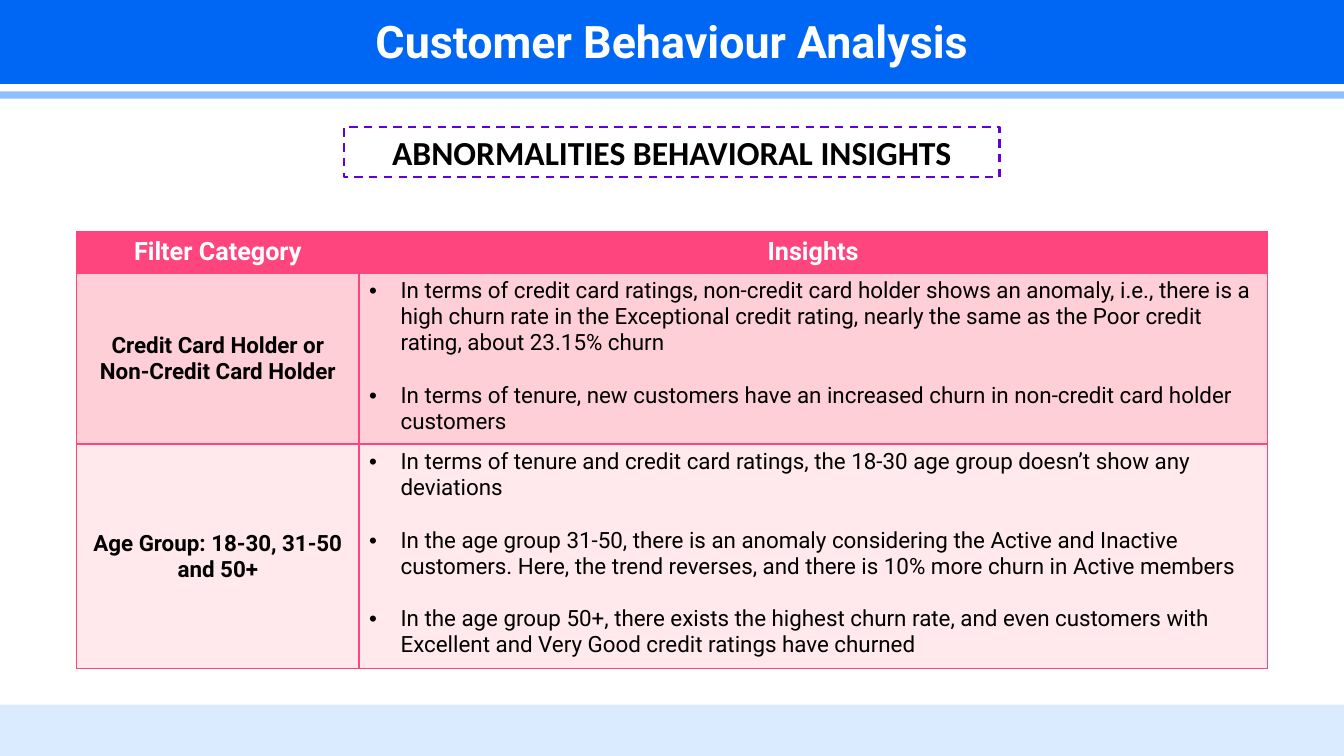
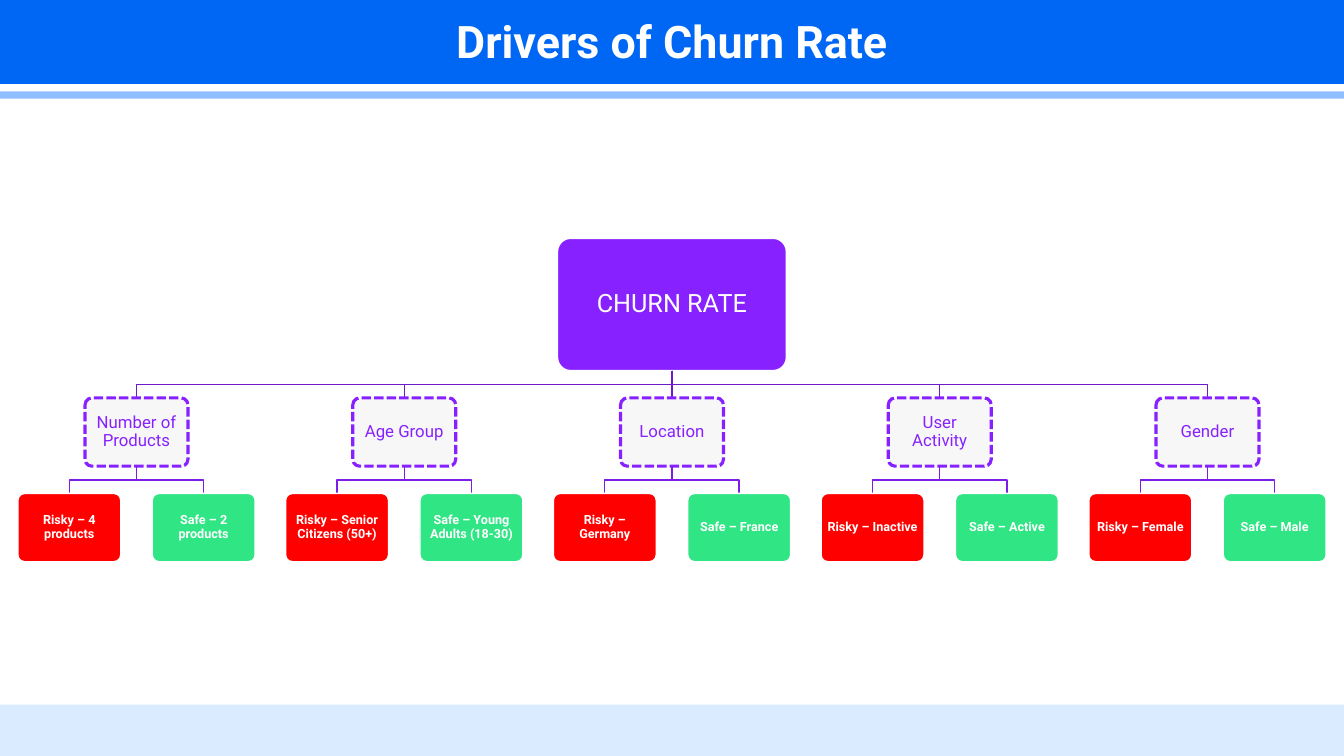
"""Build two slides on customer behaviour and the drivers of churn."""
from dataclasses import dataclass, field
from typing import Any, NamedTuple

from lxml import etree
from pptx import Presentation, util as u
from pptx.dml.color import RGBColor
from pptx.enum import dml, shapes, text
from pptx.oxml import ns

PX = 9525
WIDTH, HEIGHT = 1280, 720
CENTER = WIDTH // 2

WHITE, BLACK = "FFFFFF", "000000"
BLUE, MID_BLUE, PALE_BLUE = "0067F4", "90BFFF", "DAEAFF"
PINK, LIGHT_PINK, PALE_PINK = "FF457E", "FFCFD8", "FFE9EC"
VIOLET, DARK_VIOLET, PALE_GRAY = "8721FF", "6300D8", "F7F7F7"
ROOT_LINK, TOPIC_LINK = "6C1ACC", "7B1EE7"
RED, GREEN = "FF0000", "30E584"

RECTANGLE = shapes.MSO_SHAPE.RECTANGLE
ROUNDED = shapes.MSO_SHAPE.ROUNDED_RECTANGLE
MIDDLE, TOP = text.MSO_ANCHOR.MIDDLE, text.MSO_ANCHOR.TOP
DASH, SHORT_DASH = dml.MSO_LINE.DASH, dml.MSO_LINE.SQUARE_DOT


class Box(NamedTuple):
    left: int
    top: int
    width: int
    height: int


class Band(NamedTuple):
    top: int
    height: int
    fill: str


@dataclass(frozen=True)
class TextStyle:
    size: int
    color: str
    bold: bool = False
    name: str = "Roboto"
    centered: bool = True
    paragraph: dict[str, Any] = field(default_factory=dict)


@dataclass(frozen=True)
class NodeStyle:
    fill: str | None
    line: str | None
    weight: float
    text: TextStyle
    dash: Any = None
    inset: int | None = None
    geometry: Any = ROUNDED
    anchor: Any = MIDDLE


class Topic(NamedTuple):
    label: str
    risky: str
    safe: str


class InsightRow(NamedTuple):
    category: str
    insights: list[str]
    fill: str


BANDS = [
    Band(0, 94, MID_BLUE),
    Band(0, 87, WHITE),
    Band(0, 80, BLUE),
    Band(671, HEIGHT - 671, PALE_BLUE),
]
TIGHT = {"line_spacing": 0.9}
TITLE = TextStyle(32, WHITE, True)
HEADER = TextStyle(18, WHITE, True)
CATEGORY = TextStyle(16, BLACK, True)
INSIGHT = TextStyle(16, BLACK, centered=False)
LEAF_TEXT = TextStyle(9, WHITE, True, paragraph=TIGHT)

HEADING = NodeStyle(None, DARK_VIOLET, 1.5, TextStyle(24, BLACK, True, "Calibri"),
                    DASH, geometry=RECTANGLE, anchor=TOP)
ROOT = NodeStyle(VIOLET, WHITE, 1, TextStyle(18, WHITE, paragraph=TIGHT), inset=7)
TOPIC = NodeStyle(PALE_GRAY, VIOLET, 2.25, TextStyle(12, VIOLET, paragraph=TIGHT),
                  SHORT_DASH, inset=5)
RISKY = NodeStyle(RED, WHITE, 1, LEAF_TEXT, inset=3)
SAFE = NodeStyle(GREEN, WHITE, 1, LEAF_TEXT, inset=3)

INSIGHT_ROWS = [
    InsightRow("Credit Card Holder or Non-Credit Card Holder", [
        "In terms of credit card ratings, non-credit card holder shows an anomaly, "
        "i.e., there is a high churn rate in the Exceptional credit rating, nearly "
        "the same as the Poor credit rating, about 23.15% churn",
        "In terms of tenure, new customers have an increased churn in non-credit "
        "card holder customers",
    ], LIGHT_PINK),
    InsightRow("Age Group: 18-30, 31-50 and 50+", [
        "In terms of tenure and credit card ratings, the 18-30 age group doesn’t "
        "show any deviations",
        "In the age group 31-50, there is an anomaly considering the Active and "
        "Inactive customers. Here, the trend reverses, and there is 10% more churn "
        "in Active members",
        "In the age group 50+, there exists the highest churn rate, and even "
        "customers with Excellent and Very Good credit ratings have churned",
    ], PALE_PINK),
]
COLUMN_WIDTHS = [269, 865]
ROW_HEIGHTS = [39, 163, 214]
BULLET_INDENT = 30
BULLET_GAP = 18.75

TOPICS = [
    Topic("Number of Products", "Risky – 4 products", "Safe – 2 products"),
    Topic("Age Group", "Risky – Senior Citizens (50+)", "Safe – Young Adults (18-30)"),
    Topic("Location", "Risky – Germany", "Safe – France"),
    Topic("User Activity", "Risky – Inactive", "Safe – Active"),
    Topic("Gender", "Risky – Female", "Safe – Male"),
]
ROOT_BOX = Box(531, 227, 218, 126)
NODE_WIDTH, NODE_HEIGHT = 98, 65
LEVEL_GAP = 26
TOPIC_STEP, LEAF_OFFSET = 255, 64


def px(value: float) -> int:
    """Turn pixels into EMU."""
    return u.Emu(int(value * PX))


def rgb(color: str) -> RGBColor:
    """Turn a hex string into a colour."""
    return RGBColor.from_string(color)


def apply(target: Any, values: dict[str, Any]) -> None:
    """Set every format value on the target."""
    for name, value in values.items():
        setattr(target, name, value)


def write(paragraph: Any, content: str, style: TextStyle) -> None:
    """Write one styled run into a paragraph."""
    alignment = text.PP_ALIGN.CENTER if style.centered else text.PP_ALIGN.LEFT
    apply(paragraph, {"alignment": alignment, **style.paragraph})
    run = paragraph.add_run()
    run.text = content
    apply(run.font, {"name": style.name, "size": u.Pt(style.size), "bold": style.bold})
    run.font.color.rgb = rgb(style.color)


def add_bullet(paragraph: Any) -> None:
    """Give a paragraph a hanging round bullet."""
    properties = paragraph._p.get_or_add_pPr()
    properties.set("marL", str(px(BULLET_INDENT)))
    properties.set("indent", str(-px(BULLET_INDENT)))
    etree.SubElement(properties, ns.qn("a:buFont")).set("typeface", "Arial")
    etree.SubElement(properties, ns.qn("a:buChar")).set("char", "•")


def set_line(shape: Any, color: str, weight: float, dash: Any = None) -> None:
    """Set the outline of a shape."""
    shape.line.color.rgb = rgb(color)
    shape.line.width = u.Pt(weight)
    if dash is not None:
        shape.line.dash_style = dash


def add_node(slide: Any, box: Box, label: str, style: NodeStyle) -> None:
    """Draw a labelled box."""
    shape = slide.shapes.add_shape(style.geometry, *map(px, box))
    shape.shadow.inherit = False
    if style.geometry == ROUNDED:
        shape.adjustments[0] = 0.1
    if style.fill:
        shape.fill.solid()
        shape.fill.fore_color.rgb = rgb(style.fill)
    else:
        shape.fill.background()
    set_line(shape, style.line, style.weight, style.dash)
    frame = shape.text_frame
    apply(frame, {"word_wrap": True, "vertical_anchor": style.anchor})
    if style.inset is not None:
        sides = ("left", "top", "right", "bottom")
        apply(frame, {f"margin_{side}": px(style.inset) for side in sides})
    write(frame.paragraphs[0], label, style.text)


def add_link(slide: Any, start_x: int, start_y: int, end_x: int, color: str) -> None:
    """Draw a line down to the next level, bent halfway when needed."""
    end_y, middle_y = start_y + LEVEL_GAP, start_y + LEVEL_GAP // 2
    if start_x == end_x:
        link = slide.shapes.add_connector(
            shapes.MSO_CONNECTOR.STRAIGHT, *map(px, (start_x, start_y, end_x, end_y)))
        etree.SubElement(link._element.spPr, ns.qn("a:effectLst"))
    else:
        builder = slide.shapes.build_freeform(start_x, start_y, scale=PX)
        bends = [(start_x, middle_y), (end_x, middle_y), (end_x, end_y)]
        builder.add_line_segments(bends, close=False)
        link = builder.convert_to_shape()
        link.shadow.inherit = False
        link.fill.background()
    set_line(link, color, 1)


def add_slide(presentation: Any, title: str) -> Any:
    """Add a slide with the shared bands and title."""
    slide = presentation.slides.add_slide(presentation.slide_layouts[6])
    for band in BANDS:
        shape = slide.shapes.add_shape(RECTANGLE, 0, px(band.top), px(WIDTH), px(band.height))
        shape.shadow.inherit = False
        shape.fill.solid()
        shape.fill.fore_color.rgb = rgb(band.fill)
        shape.line.fill.background()
    frame = slide.shapes.add_textbox(*map(px, (320, 8, 640, 61))).text_frame
    frame.word_wrap = True
    write(frame.paragraphs[0], title, TITLE)
    return slide


def fill_cell(cell: Any, fill: str, lines: list[str], style: TextStyle,
              anchor: Any = TOP, bulleted: bool = False) -> None:
    """Set borders, fill and text of a table cell."""
    properties = cell._tc.get_or_add_tcPr()
    for side in ("lnL", "lnR", "lnT", "lnB"):
        border = etree.SubElement(properties, ns.qn(f"a:{side}"), w=str(u.Pt(1)))
        solid = etree.SubElement(border, ns.qn("a:solidFill"))
        etree.SubElement(solid, ns.qn("a:srgbClr")).set("val", PINK)
    cell.fill.solid()
    cell.fill.fore_color.rgb = rgb(fill)
    cell.vertical_anchor = anchor
    frame = cell.text_frame
    for index, line in enumerate(lines):
        paragraph = frame.add_paragraph() if index else frame.paragraphs[0]
        if bulleted:
            add_bullet(paragraph)
        if index:
            paragraph.space_before = u.Pt(BULLET_GAP)
        write(paragraph, line, style)


def add_insight_table(slide: Any) -> None:
    """Draw the table of insights by filter category."""
    box = Box(73, 221, sum(COLUMN_WIDTHS), sum(ROW_HEIGHTS))
    table = slide.shapes.add_table(
        len(ROW_HEIGHTS), len(COLUMN_WIDTHS), *map(px, box)).table
    apply(table, {"first_row": False, "horz_banding": False})
    for column, width in zip(table.columns, COLUMN_WIDTHS):
        column.width = px(width)
    for row, height in zip(table.rows, ROW_HEIGHTS):
        row.height = px(height)
    for index, label in enumerate(("Filter Category", "Insights")):
        fill_cell(table.cell(0, index), PINK, [label], HEADER)
    for index, row in enumerate(INSIGHT_ROWS, 1):
        fill_cell(table.cell(index, 0), row.fill, [row.category], CATEGORY, MIDDLE)
        fill_cell(table.cell(index, 1), row.fill, row.insights, INSIGHT, bulleted=True)


def add_churn_tree(slide: Any) -> None:
    """Draw the tree of churn drivers."""
    root_bottom = ROOT_BOX.top + ROOT_BOX.height
    topic_top = root_bottom + LEVEL_GAP
    topic_bottom = topic_top + NODE_HEIGHT
    leaf_top = topic_bottom + LEVEL_GAP
    add_node(slide, ROOT_BOX, "CHURN RATE", ROOT)
    for index, topic in enumerate(TOPICS):
        topic_x = CENTER + TOPIC_STEP * (index - len(TOPICS) // 2)
        add_link(slide, CENTER, root_bottom, topic_x, ROOT_LINK)
        nodes = [
            (topic_x, topic_top, topic.label, TOPIC),
            (topic_x - LEAF_OFFSET, leaf_top, topic.risky, RISKY),
            (topic_x + LEAF_OFFSET, leaf_top, topic.safe, SAFE),
        ]
        for node_x, top, label, style in nodes:
            if style is not TOPIC:
                add_link(slide, topic_x, topic_bottom, node_x, TOPIC_LINK)
            box = Box(node_x - NODE_WIDTH // 2, top, NODE_WIDTH, NODE_HEIGHT)
            add_node(slide, box, label, style)


def main() -> None:
    """Build and save the presentation."""
    presentation = Presentation()
    apply(presentation, {"slide_width": px(WIDTH), "slide_height": px(HEIGHT)})
    behaviour = add_slide(presentation, "Customer Behaviour Analysis")
    add_node(behaviour, Box(328, 121, 624, 48), "ABNORMALITIES BEHAVIORAL INSIGHTS", HEADING)
    add_insight_table(behaviour)
    add_churn_tree(add_slide(presentation, "Drivers of Churn Rate"))
    presentation.save("out.pptx")


if __name__ == "__main__":
    main()
